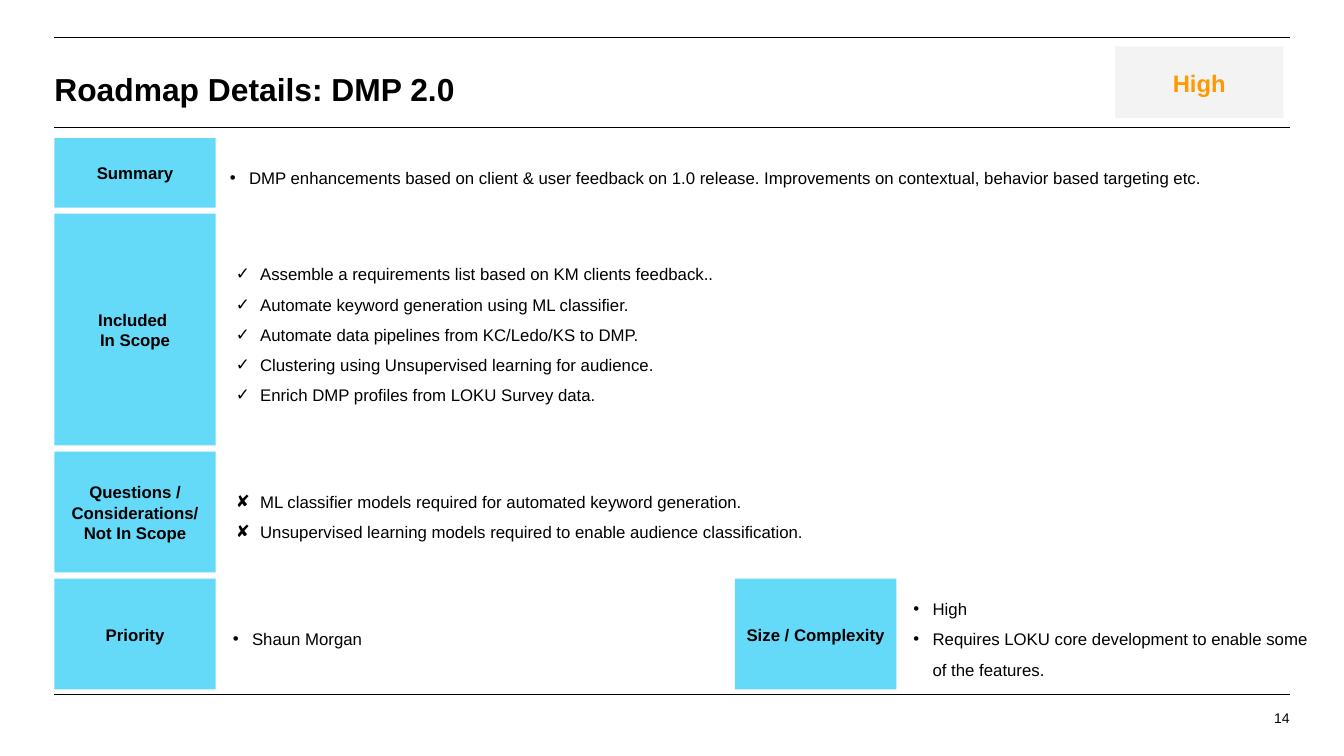
from lxml import etree
from pptx import Presentation
from pptx import util as u
from pptx.dml.color import RGBColor
from pptx.enum import shapes, text
from pptx.oxml.ns import qn

# Content
TITLE = "Roadmap Details: DMP 2.0"
RATING = "High"
PAGE_NUMBER = "14"
# Each row: height, label inset, then cells of
# (label left, label lines, text left, text width, bullet, items)
ROWS = [
    (0.69, 0.27, [
        (0.54, ["Summary"], 2.27, 10.47, "•", [
            "DMP enhancements based on client & user feedback on 1.0 release. "
            "Improvements on contextual, behavior based targeting etc."]),
    ]),
    (2.3, 0.17, [
        (0.54, ["Included ", "In Scope"], 2.33, 10.47, "✓", [
            "Assemble a requirements list based on KM clients feedback..",
            "Automate keyword generation using ML classifier.",
            "Automate data pipelines from KC/Ledo/KS to DMP.",
            "Clustering using Unsupervised learning for audience.",
            "Enrich DMP profiles from LOKU Survey data."]),
    ]),
    (1.2, 0.17, [
        (0.54, ["Questions / Considerations/", "Not In Scope"], 2.33, 10.4, "✘", [
            "ML classifier models required for automated keyword generation.",
            "Unsupervised learning models required to enable audience classification."]),
    ]),
    (1.1, 0.15, [
        (0.54, ["Priority"], 2.3, 4.73, "•", ["Shaun Morgan"]),
        (7.29, ["Size / Complexity"], 9.05, 3.94, "•", [
            "High",
            "Requires LOKU core development to enable some of the features."]),
    ]),
]
RULES = [0.37, 1.27, 6.89]
LEFT, RIGHT = 0.54, 12.79
ROWS_TOP, ROW_GAP, LABEL_WIDTH = 1.37, 0.06, 1.6
INDENTS = {"•": (0.2, -0.19), "✓": (0.25, -0.24), "✘": (0.25, -0.24)}
COLORS = {"ink": "000000", "label": "65D9F8", "badge": "F3F3F3",
          "rating": "FF9900"}
CENTER, MIDDLE = text.PP_ALIGN.CENTER, text.MSO_ANCHOR.MIDDLE

deck = Presentation()
deck.slide_width, deck.slide_height = u.Inches(13.33), u.Inches(7.5)
page = deck.slides.add_slide(deck.slide_layouts[6])


def color(name):
    return RGBColor.from_string(COLORS[name])


def add_bullet(para, symbol):
    left, first = INDENTS[symbol]
    props = para._p.get_or_add_pPr()
    props.set("marL", str(u.Inches(left)))
    props.set("indent", str(u.Inches(first)))
    tint = etree.SubElement(props, qn("a:buClr"))
    etree.SubElement(tint, qn("a:srgbClr"), val=COLORS["ink"])
    etree.SubElement(props, qn("a:buFont"), typeface="Arial")
    etree.SubElement(props, qn("a:buChar"), char=symbol)


def write(box, lines, size=12, ink="ink", bold=False, align=text.PP_ALIGN.LEFT,
          anchor=MIDDLE, inset=0, spacing=1.03, bullet=None):
    frame = box.text_frame
    frame.word_wrap = True
    frame.vertical_anchor = anchor
    frame.margin_left = frame.margin_right = 0
    frame.margin_top = frame.margin_bottom = u.Inches(inset)
    for index, line in enumerate(lines):
        para = frame.add_paragraph() if index else frame.paragraphs[0]
        para.alignment = align
        para.line_spacing = spacing
        if bullet:
            add_bullet(para, bullet)
        span = para.add_run()
        span.text = line
        span.font.name, span.font.size = "Arial", u.Pt(size)
        span.font.bold = bold
        span.font.color.rgb = color(ink)


def text_box(left, top, width, height, lines, **style):
    box = page.shapes.add_textbox(*map(u.Inches, (left, top, width, height)))
    write(box, lines, **style)


def panel(left, top, width, height, fill, lines, **style):
    box = page.shapes.add_shape(shapes.MSO_SHAPE.RECTANGLE,
                                *map(u.Inches, (left, top, width, height)))
    box.shadow.inherit = False
    box.fill.solid()
    box.fill.fore_color.rgb = color(fill)
    box.line.fill.background()
    write(box, lines, bold=True, align=CENTER, **style)


# Horizontal rules
for y in RULES:
    rule = page.shapes.add_connector(shapes.MSO_CONNECTOR.STRAIGHT,
                                     *map(u.Inches, (LEFT, y, RIGHT, y)))
    rule.line.color.rgb = color("ink")
    rule.line.width = u.Pt(0.75)
    etree.SubElement(rule._element.spPr, qn("a:effectLst"))

# Title, rating badge and page number
text_box(LEFT, 0.52, 12.26, 0.71, [TITLE], size=22.7, bold=True)
panel(11.06, 0.46, 1.67, 0.71, "badge", [RATING], size=17, ink="rating", inset=0.15)
text_box(10.99, 7.04, 1.8, 0.32, [PAGE_NUMBER], size=10, spacing=1,
         align=text.PP_ALIGN.RIGHT, anchor=text.MSO_ANCHOR.TOP)

# Labelled rows
top = ROWS_TOP
for height, inset, cells in ROWS:
    for label_left, label, text_left, text_width, bullet, items in cells:
        panel(label_left, top, LABEL_WIDTH, height, "label", label, inset=inset)
        text_box(text_left, top, text_width, height, items,
                 inset=0.1, spacing=1.5, bullet=bullet)
    top += height + ROW_GAP

deck.save("out.pptx")
